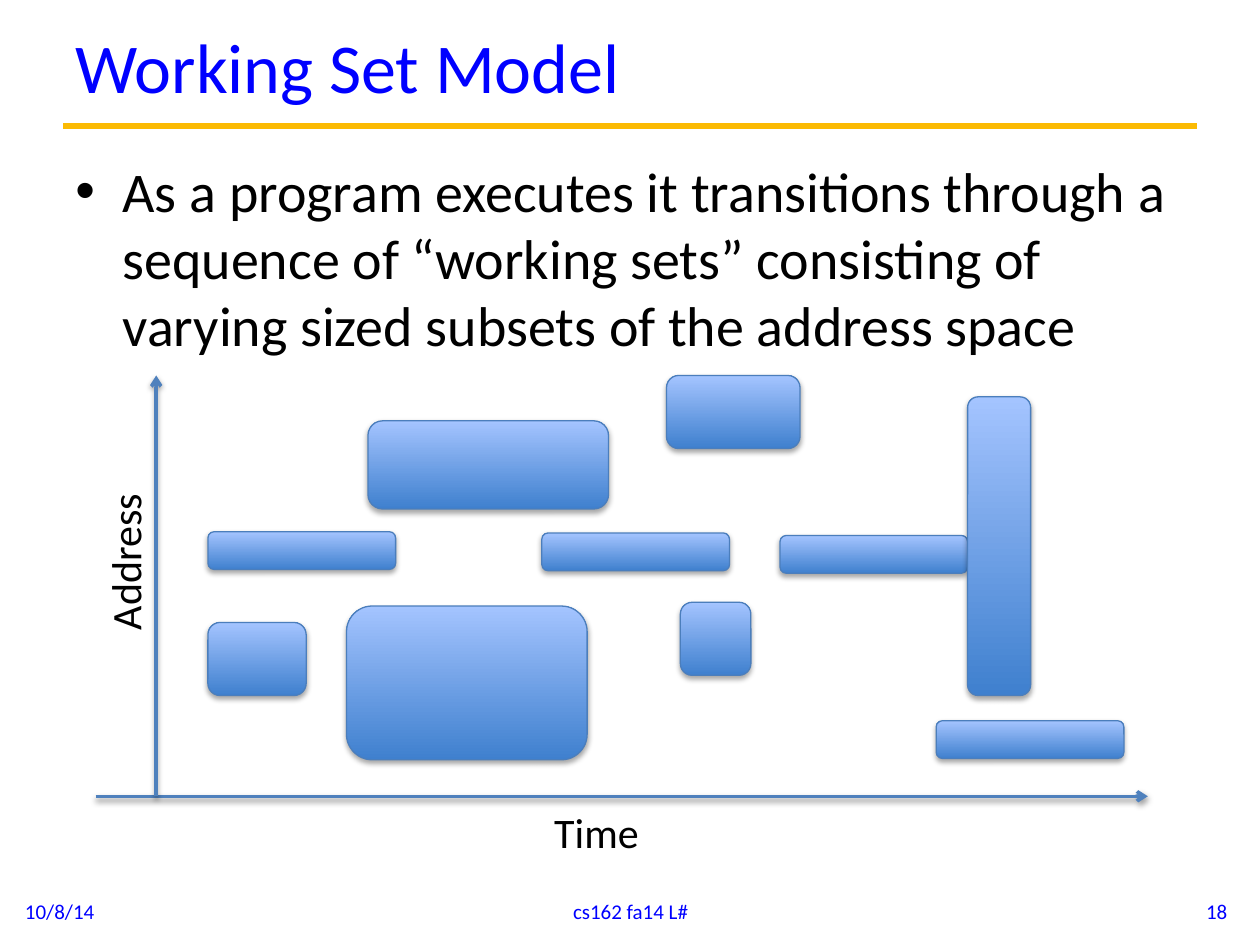
import dataclasses
from typing import Any, NamedTuple, Optional

import pptx
import pptx.dml.color
import pptx.enum.shapes
import pptx.enum.text
import pptx.oxml
import pptx.oxml.ns
import pptx.util

Align = pptx.enum.text.PP_ALIGN
Anchor = pptx.enum.text.MSO_ANCHOR
qualified = pptx.oxml.ns.qn

# The page is a grid of 100 columns by 75 rows
COLUMNS, ROWS = 100, 75
WIDTH, HEIGHT = pptx.util.Inches(10), pptx.util.Inches(7.5)


@dataclasses.dataclass(frozen=True)
class Theme:
    font: str = "Calibri"
    accent: str = "0000FF"
    ink: str = "000000"
    rule: str = "FBBA03"
    axis: str = "4F81BD"
    outline: str = "4B7EBC"
    gradient: tuple = ("3F80CE", "A4C4FF")
    title_size: int = 40
    body_size: int = 32
    label_size: int = 24
    footer_size: int = 12


class Area(NamedTuple):
    column: float
    row: float
    columns: float
    rows: float


@dataclasses.dataclass(frozen=True)
class Label:
    text: str
    area: Area
    size: int
    color: str
    align: Any = Align.LEFT
    anchor: Any = Anchor.TOP
    wrap: bool = True
    rotation: int = 0


class Shadow(NamedTuple):
    opacity: int
    distance: float
    blur: float = 3.1


THEME = Theme()
AXIS_SHADOW = Shadow(38, 1.6)
BLOCK_SHADOW = Shadow(35, 1.8)


def across(columns: float) -> int:
    return round(WIDTH * columns / COLUMNS)


def down(rows: float) -> int:
    return round(HEIGHT * rows / ROWS)


def rgb(value: str) -> pptx.dml.color.RGBColor:
    return pptx.dml.color.RGBColor.from_string(value)


def apply(target: Any, formats: dict) -> None:
    for name, value in formats.items():
        setattr(target, name, value)


def place(box: Any, area: Area) -> None:
    apply(box, {"left": across(area.column), "top": down(area.row),
                "width": across(area.columns), "height": down(area.rows)})


def write(box: Any, label: Label) -> Any:
    """Put the label's text and format into a box; return its paragraph."""
    place(box, label.area)
    box.rotation = label.rotation
    frame = box.text_frame
    apply(frame, {"word_wrap": label.wrap, "vertical_anchor": label.anchor,
                  "auto_size": pptx.enum.text.MSO_AUTO_SIZE.NONE})
    para = frame.paragraphs[0]
    para.alignment = label.align
    span = para.add_run()
    span.text = label.text
    apply(span.font, {"name": THEME.font, "size": pptx.util.Pt(label.size)})
    span.font.color.rgb = rgb(label.color)
    return para


def add_label(page: Any, label: Label) -> Any:
    return write(page.shapes.add_textbox(0, 0, 0, 0), label)


def add_bullet(para: Any, indent: int) -> None:
    properties = para._p.get_or_add_pPr()
    properties.set("marL", str(indent))
    properties.set("indent", str(-indent))
    pptx.oxml.ns.qn("a:buFont")
    for tag, name, value in (("a:buFont", "typeface", "Arial"), ("a:buChar", "char", "•")):
        properties.makeelement(qualified(tag))
        element = properties.makeelement(qualified(tag), {name: value})
        properties.append(element)


def set_effects(shape: Any, shadow: Optional[Shadow]) -> None:
    """Replace the inherited shadow with the given one, or with none."""
    properties = shape._element.spPr
    for old in properties.findall(qualified("a:effectLst")):
        properties.remove(old)
    effects = properties.makeelement(qualified("a:effectLst"))
    properties.append(effects)
    if shadow:
        outer = effects.makeelement(qualified("a:outerShdw"), {
            "blurRad": str(pptx.util.Pt(shadow.blur)),
            "dist": str(pptx.util.Pt(shadow.distance)),
            "dir": "5400000", "rotWithShape": "0"})
        color = outer.makeelement(qualified("a:srgbClr"), {"val": THEME.ink})
        color.append(color.makeelement(qualified("a:alpha"), {"val": str(shadow.opacity * 1000)}))
        outer.append(color)
        effects.append(outer)


def add_line(page: Any, start: tuple, end: tuple, color: str, weight: float,
             arrow: bool = False, shadow: Optional[Shadow] = None) -> None:
    line = page.shapes.add_connector(
        pptx.enum.shapes.MSO_CONNECTOR.STRAIGHT,
        across(start[0]), down(start[1]), across(end[0]), down(end[1]))
    line.line.color.rgb = rgb(color)
    line.line.width = pptx.util.Pt(weight)
    if arrow:
        stroke = line.line._get_or_add_ln()
        stroke.append(stroke.makeelement(qualified("a:tailEnd"), {"type": "arrow"}))
    set_effects(line, shadow)


def add_block(page: Any, area: Area) -> None:
    block = page.shapes.add_shape(pptx.enum.shapes.MSO_SHAPE.ROUNDED_RECTANGLE, 0, 0, 0, 0)
    place(block, area)
    block.fill.gradient()
    block.fill.gradient_angle = 90
    for stop, color in zip(block.fill.gradient_stops, THEME.gradient):
        stop.color.rgb = rgb(color)
    block.line.color.rgb = rgb(THEME.outline)
    block.line.width = pptx.util.Pt(0.75)
    set_effects(block, BLOCK_SHADOW)


def main() -> None:
    deck = pptx.Presentation()
    apply(deck, {"slide_width": WIDTH, "slide_height": HEIGHT})
    page = deck.slides.add_slide(deck.slide_layouts[5])

    # Title and rule
    write(page.shapes.title, Label("Working Set Model", Area(5, 0.4, 90, 9.6),
                                   THEME.title_size, THEME.accent, anchor=Anchor.MIDDLE))
    add_line(page, (5, 10), (95, 10), THEME.rule, 3.75)

    # Statement
    statement = add_label(page, Label(
        "As a program executes it transitions through a sequence of “working sets” "
        "consisting of varying sized subsets of the address space",
        Area(5, 11.9, 90, 17.9), THEME.body_size, THEME.ink))
    add_bullet(statement, across(3.75))

    # Footer
    for text, column, columns, align in (("10/8/14", 1, 23.3, Align.LEFT),
                                         ("cs162 fa14 L#", 34.2, 31.7, Align.CENTER),
                                         ("18", 75.1, 23.3, Align.RIGHT)):
        add_label(page, Label(text, Area(column, 70.3, columns, 4), THEME.footer_size,
                              THEME.accent, align, Anchor.MIDDLE))

    # Axes from their crossing, with names
    axis_column, axis_row = 12.4, 63.2
    for start, end in (((7.6, axis_row), (91.1, axis_row)),
                       ((axis_column, axis_row), (axis_column, 29.8))):
        add_line(page, start, end, THEME.axis, 2, True, AXIS_SHADOW)
    for text, area, rotation in (("Time", Area(43, 63.5, 8.8, 5), 0),
                                 ("Address", Area(3.4, 42, 13, 5), 270)):
        add_label(page, Label(text, area, THEME.label_size, THEME.ink,
                              wrap=False, rotation=rotation))

    # Working sets: flat bars share one size
    bar = (14.9, 3)
    for area in (Area(16.5, 49.4, 7.8, 5.8), Area(16.5, 42.2, *bar),
                 Area(27.5, 48.1, 19.1, 12.2), Area(29.2, 33.4, 19.1, 7),
                 Area(43, 42.3, *bar), Area(54, 47.8, 5.6, 5.8),
                 Area(52.9, 29.8, 10.6, 5.8), Area(61.9, 42.5, *bar),
                 Area(76.8, 31.5, 5, 23.7), Area(74.3, 57.2, *bar)):
        add_block(page, area)

    deck.save("out.pptx")


if __name__ == "__main__":
    main()
